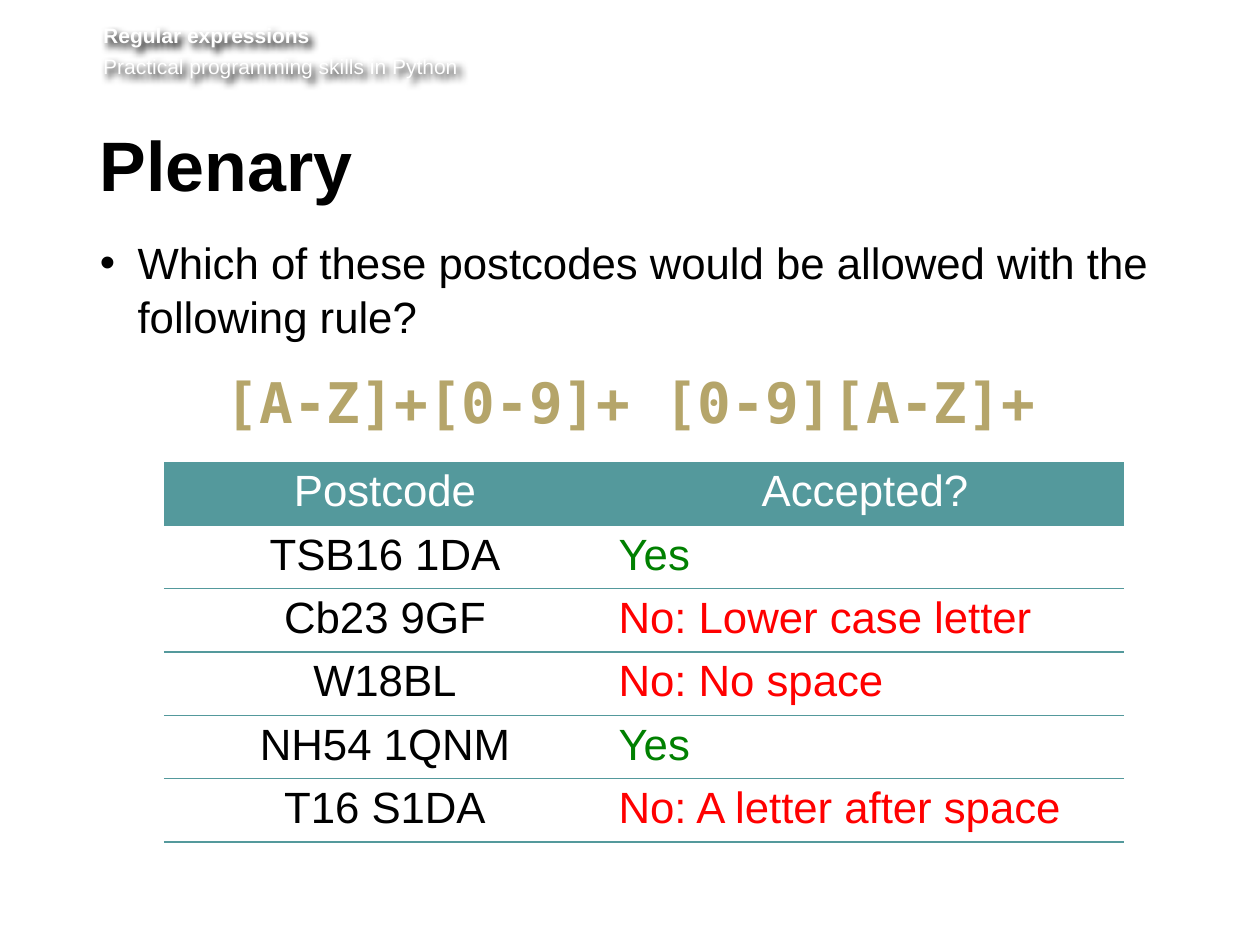
import pptx
import pptx.dml.color
import pptx.enum.text
import pptx.oxml
import pptx.oxml.ns
import pptx.util

Pt = pptx.util.Pt
ALIGN = pptx.enum.text.PP_ALIGN
ANCHOR = pptx.enum.text.MSO_ANCHOR
COLORS = {"white": "FFFFFF", "black": "000000", "teal": "54999C",
          "sand": "B5A56A", "green": "008000", "red": "FF0000"}
NO_STYLE = "{2D5ABB26-0587-4C30-8999-92F81FD0307C}"
POSTCODES = [
    ("TSB16 1DA", "Yes"),
    ("Cb23 9GF", "No: Lower case letter"),
    ("W18BL", "No: No space"),
    ("NH54 1QNM", "Yes"),
    ("T16 S1DA", "No: A letter after space"),
]


def rgb(color):
    return pptx.dml.color.RGBColor.from_string(COLORS[color])


def set_all(target, values):
    for name, value in values.items():
        setattr(target, name, value)


def add_xml(parent, xml):
    namespace = pptx.oxml.ns.nsdecls("a")
    parent.append(pptx.oxml.parse_xml(xml.replace(">", f" {namespace}>", 1)))


def write(paragraph, text, color, size, name="Arial", bold=False, **layout):
    set_all(paragraph, layout)
    run = paragraph.add_run()
    run.text = text
    set_all(run.font, {"size": Pt(size), "name": name, "bold": bold})
    run.font.color.rgb = rgb(color)


def add_text_box(slide, left, top, width, height, **frame_format):
    box = slide.shapes.add_textbox(Pt(left), Pt(top), Pt(width), Pt(height))
    set_all(box.text_frame, {"word_wrap": True, "margin_left": 0, "margin_top": 0,
                             "margin_right": Pt(7.2), "margin_bottom": Pt(3.6),
                             **frame_format})
    return box


def add_course_header(slide):
    header = add_text_box(slide, 59, 13, 635, 35, margin_right=0)
    add_xml(header._element.spPr,
            '<a:effectLst><a:outerShdw blurRad="50800" dist="38100" dir="2700000">'
            f'<a:srgbClr val="{COLORS["black"]}"/></a:outerShdw></a:effectLst>')
    frame = header.text_frame
    write(frame.paragraphs[0], "Regular expressions", "white", 12, bold=True)
    write(frame.add_paragraph(), "Practical programming skills in Python", "white", 12,
          space_before=Pt(2.9))


def add_title(slide):
    title = add_text_box(slide, 57, 71.5, 616, 52.5, margin_top=Pt(3.6),
                         vertical_anchor=ANCHOR.MIDDLE)
    write(title.text_frame.paragraphs[0], "Plenary", "black", 40, bold=True,
          line_spacing=Pt(39))


def add_question(slide):
    frame = add_text_box(slide, 57, 134.5, 614, 272).text_frame
    question = frame.paragraphs[0]
    properties = question._p.get_or_add_pPr()
    properties.set("marL", str(Pt(21.6)))
    properties.set("indent", str(-Pt(21.6)))
    add_xml(properties, '<a:buFont typeface="Arial"></a:buFont>')
    add_xml(properties, '<a:buChar char="•"></a:buChar>')
    write(question, "Which of these postcodes would be allowed with the following rule?",
          "black", 25, line_spacing=Pt(30.5), space_after=Pt(14))
    write(frame.add_paragraph(), "[A-Z]+[0-9]+ [0-9][A-Z]+", "sand", 32,
          "DejaVu Sans Mono", True, alignment=ALIGN.CENTER, line_spacing=Pt(39))


def fill_cell(cell, text, color, alignment, header=False):
    set_all(cell, {"margin_top": Pt(3.1), "margin_bottom": Pt(3.1)})
    write(cell.text_frame.paragraphs[0], text, color, 25, alignment=alignment)
    properties = cell._tc.get_or_add_tcPr()
    add_xml(properties, f'<a:lnB w="{Pt(1)}"><a:solidFill>'
                        f'<a:srgbClr val="{COLORS["teal"]}"/></a:solidFill></a:lnB>')
    if header:
        cell.fill.solid()
        cell.fill.fore_color.rgb = rgb("teal")
    else:
        cell.fill.background()


def add_postcode_table(slide):
    row_count = len(POSTCODES) + 1
    row_height = 35
    table = slide.shapes.add_table(row_count, 2, Pt(93.6), Pt(264), Pt(548.6),
                                   Pt(row_height * row_count)).table
    set_all(table, {"first_row": True, "horz_banding": False})
    table._tbl.tblPr.find(pptx.oxml.ns.qn("a:tableStyleId")).text = NO_STYLE
    for column, width in zip(table.columns, (252.7, 295.9)):
        column.width = Pt(width)
    for row in table.rows:
        row.height = Pt(row_height)
    for column, heading in enumerate(("Postcode", "Accepted?")):
        fill_cell(table.cell(0, column), heading, "white", ALIGN.CENTER, header=True)
    for row, (postcode, verdict) in enumerate(POSTCODES, 1):
        fill_cell(table.cell(row, 0), postcode, "black", ALIGN.CENTER)
        verdict_color = "green" if verdict == "Yes" else "red"
        fill_cell(table.cell(row, 1), verdict, verdict_color, ALIGN.LEFT)


def main():
    """Build the plenary slide about postcode patterns."""
    deck = pptx.Presentation()
    set_all(deck, {"slide_width": Pt(720), "slide_height": Pt(540)})
    slide = deck.slides.add_slide(deck.slide_layouts[6])
    add_course_header(slide)
    add_title(slide)
    add_question(slide)
    add_postcode_table(slide)
    deck.save("out.pptx")


if __name__ == "__main__":
    main()
